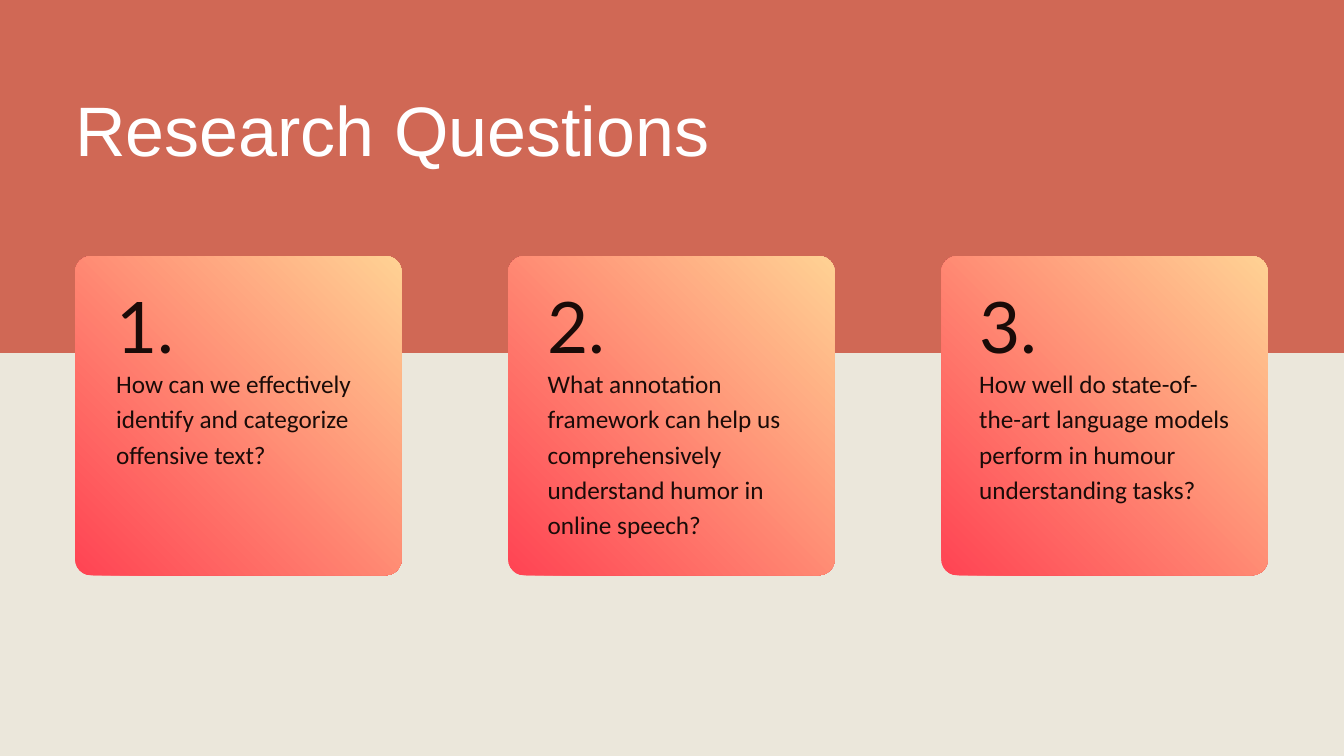
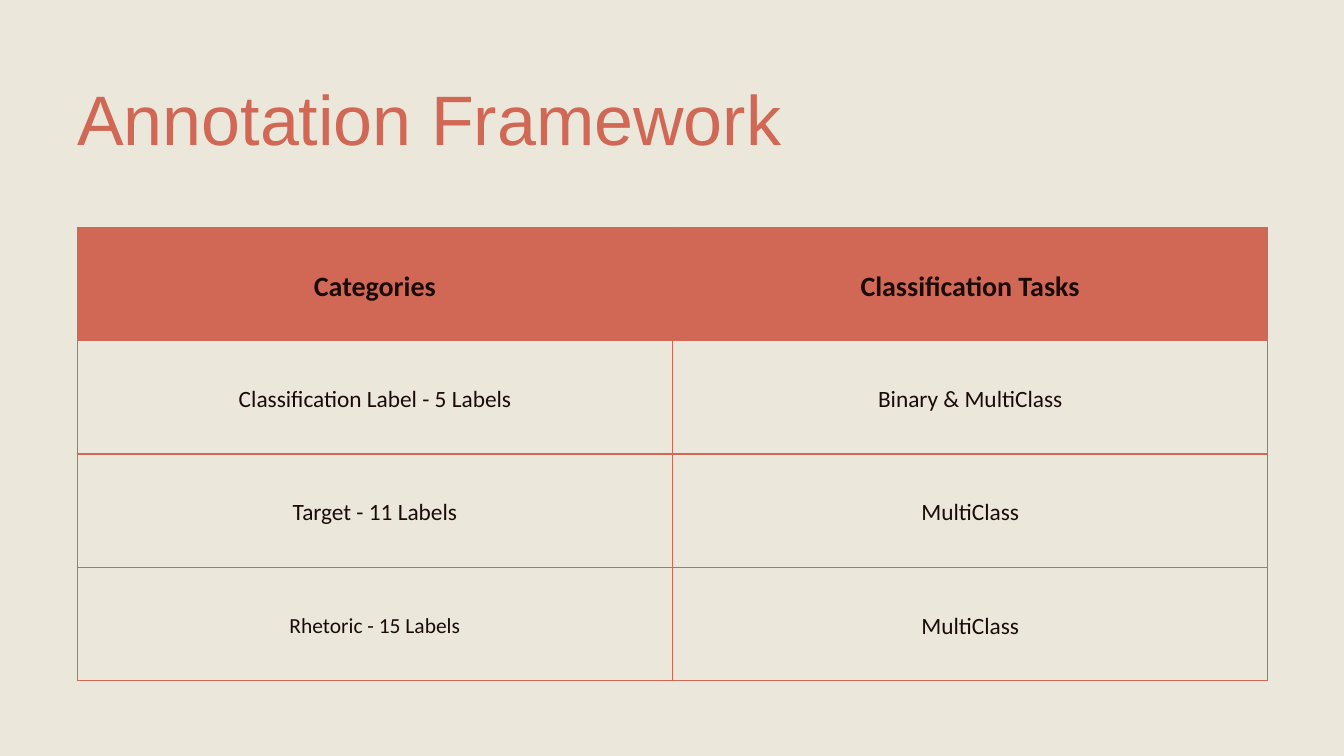
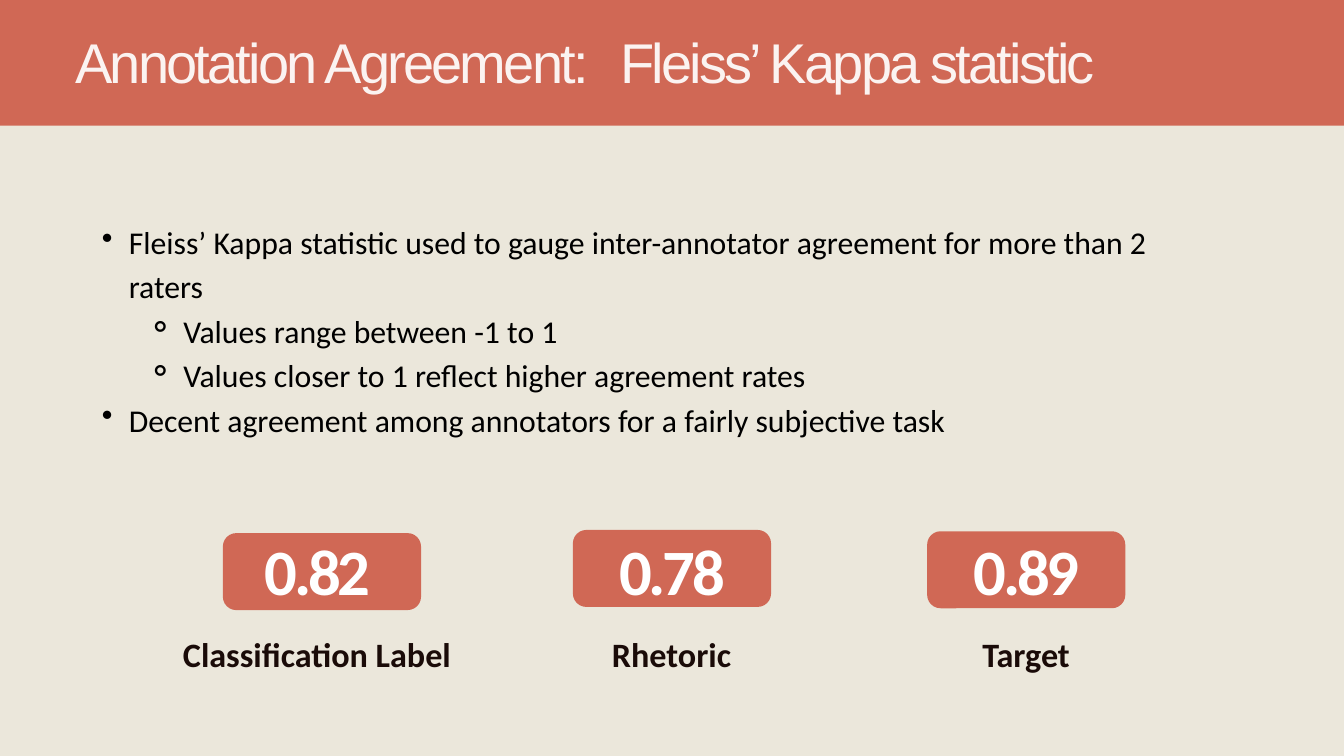
from pptx import Presentation
from pptx import util as u
from pptx.dml.color import RGBColor
from pptx.enum import shapes, text
from pptx.oxml import parse_xml
from pptx.oxml.ns import nsdecls
from lxml import etree

CORAL, CREAM, INK, WHITE = "D06855", "EBE7DB", "1A0B08", "FFFFFF"
BLUSH, BLACK, ROSE, GOLD = "FBF3F1", "000000", "FF4353", "FFD294"
ROUND = shapes.MSO_SHAPE.ROUNDED_RECTANGLE
RECT = shapes.MSO_SHAPE.RECTANGLE
MID = text.PP_ALIGN.CENTER


def hue(code):
    return RGBColor.from_string(code)


def box(*sizes):
    return [u.Cm(size) for size in sizes]


def write(para, words, size=27, color=INK, font="Calibri", bold=False,
          lead=1.4, align=None, track=0):
    """Fill a paragraph; lead is a multiple of size, track is in points."""
    para.line_spacing = u.Pt(round(size * lead, 1))
    para.alignment = align
    run = para.add_run()
    run.text = words
    run.font.size = u.Pt(size)
    run.font.name = font
    run.font.bold = bold
    run.font.color.rgb = hue(color)
    if track:
        run._r.get_or_add_rPr().set("spc", str(int(track * 100)))


def add_xml(para, xml):
    para._p.get_or_add_pPr().append(parse_xml(xml))


class Deck:
    def __init__(self):
        self.prs = Presentation()
        self.prs.slide_width, self.prs.slide_height = box(50.8, 28.58)
        self.slide = None

    def page(self):
        self.slide = self.prs.slides.add_slide(self.prs.slide_layouts[6])
        fill = self.slide.background.fill
        fill.solid()
        fill.fore_color.rgb = hue(CREAM)

    def frame(self, *place):
        body = self.slide.shapes.add_textbox(*box(*place)).text_frame
        body.word_wrap = True
        body.margin_left = body.margin_right = 0
        body.margin_top = body.margin_bottom = 0
        return body

    def label(self, place, words, **style):
        para = self.frame(*place).paragraphs[0]
        write(para, words, **style)
        return para

    def title(self, place, words, size=75, color=WHITE, track=0):
        return self.label(place, words, size=size, color=color,
                          font="Arial", lead=1.2, track=track)

    def shape(self, kind, *place):
        item = self.slide.shapes.add_shape(kind, *box(*place))
        item.shadow.inherit = False
        item.line.fill.background()
        item.fill.solid()
        item.fill.fore_color.rgb = hue(CORAL)
        return item

    def band(self, height):
        self.shape(RECT, 0, 0, 50.8, height)

    def card(self, *place):
        item = self.shape(ROUND, *place)
        item.adjustments[0] = 0.05
        item.fill.gradient()
        item.fill.gradient_angle = 45
        for stop, code in zip(item.fill.gradient_stops, (ROSE, GOLD)):
            stop.color.rgb = hue(code)

    def pill(self, *place):
        item = self.shape(ROUND, *place)
        item.line.color.rgb = hue(CORAL)
        item.line.width = u.Pt(2)

    def bullets(self, place, rows):
        """Each row is (level, words)."""
        looks = {1: ("•", 2.03, -1.02), 2: ("⚬", 4.09, -1.37)}
        body = self.frame(*place)
        for at, (level, words) in enumerate(rows):
            para = body.add_paragraph() if at else body.paragraphs[0]
            mark, left, hang = looks[level]
            para.level = level
            props = para._p.get_or_add_pPr()
            props.set("marL", str(u.Cm(left)))
            props.set("indent", str(u.Cm(hang)))
            add_xml(para, f'<a:buChar {nsdecls("a")} char="{mark}"/>')
            write(para, words, size=34, color=BLACK)

    def table(self, place, rows):
        """The first row is the head; each cell is (words, size)."""
        grid = self.slide.shapes.add_table(
            len(rows), len(rows[0]), *box(*place)).table
        grid.first_row = grid.horz_banding = False
        for r, row in enumerate(rows):
            for c, (words, size) in enumerate(row):
                cell = grid.cell(r, c)
                self.edge(cell)
                cell.fill.solid()
                cell.fill.fore_color.rgb = hue(CREAM if r else CORAL)
                cell.vertical_anchor = text.MSO_ANCHOR.MIDDLE
                cell.margin_left = cell.margin_right = u.Cm(0.53)
                cell.margin_top = cell.margin_bottom = u.Cm(0.53)
                write(cell.text_frame.paragraphs[0], words, size=size,
                      bold=r == 0, align=MID)

    def edge(self, cell):
        props = cell._tc.get_or_add_tcPr()
        for side in "LRTB":
            props.append(etree.fromstring(
                f'<a:ln{side} {nsdecls("a")} w="{u.Pt(1.5)}"><a:solidFill>'
                f'<a:srgbClr val="{CORAL}"/></a:solidFill></a:ln{side}>'))


def ask(deck):
    deck.page()
    deck.band(13.34)
    deck.title((2.84, 3.28, 44.45, 3.18), "Research Questions")
    asks = [
        "How can we effectively identify and categorize offensive text?",
        "What annotation framework can help us comprehensively understand "
        "humor in online speech?",
        "How well do state-of-the-art language models perform in humour "
        "understanding tasks?",
    ]
    for at, words in enumerate(asks):
        left = 4.39 + at * 16.31
        deck.card(2.84 + at * 16.37, 9.68, 12.34, 12.07)
        deck.label((left, 10.67, 9.42, 3.2), f"{at + 1}.", size=76.1,
                   font="Lato", lead=1.2)
        deck.label((left, 13.74, 9.8, 6.55), words)


def plan(deck):
    deck.page()
    deck.title((2.92, 2.84, 31.98, 3.18), "Annotation Framework", color=CORAL)
    deck.table((2.92, 8.59, 45, 17.15), [
        [("Categories", 30), ("Classification Tasks", 30)],
        [("Classification Label - 5 Labels", 25), ("Binary & MultiClass", 25)],
        [("Target - 11 Labels", 25), ("MultiClass", 25)],
        [("Rhetoric - 15 Labels", 23), ("MultiClass", 25)],
    ])


def score(deck):
    deck.page()
    deck.band(4.75)
    head = deck.title((2.84, 1.04, 41.83, 2.59),
                      "Annotation Agreement:\tFleiss’ Kappa statistic",
                      size=60, color=BLUSH, track=-3)
    add_xml(head, f'<a:tabLst {nsdecls("a")}>'
                  f'<a:tab pos="{u.Cm(20.6)}" algn="l"/></a:tabLst>')
    deck.bullets((2.84, 8.18, 41.83, 8.28), [
        (1, "Fleiss’ Kappa statistic used to gauge inter-annotator agreement "
            "for more than 2 raters"),
        (2, "Values range between -1 to 1"),
        (2, "Values closer to 1 reflect higher agreement rates"),
        (1, "Decent agreement among annotators for a fairly subjective task"),
    ])
    rates = [("0.82", "Classification Label", 8.46, 20.19),
             ("0.78", "Rhetoric", 21.69, 20.07),
             ("0.89", "Target", 35.08, 20.12)]
    for at, (rate, name, left, top) in enumerate(rates):
        step = at * 13.4
        deck.pill(left, top, 7.42, 2.84)
        deck.label((9.12 + step, 20.07, 5.77, 2.95), rate, size=69.3,
                   color=WHITE, bold=True, lead=1.2, align=MID, track=-3.5)
        deck.label((2.84 + step, 23.83, 18.29, 1.63), name, size=36.6,
                   bold=True, lead=1.3, align=MID)


def main():
    deck = Deck()
    ask(deck)
    plan(deck)
    score(deck)
    deck.prs.save("out.pptx")


if __name__ == "__main__":
    main()
